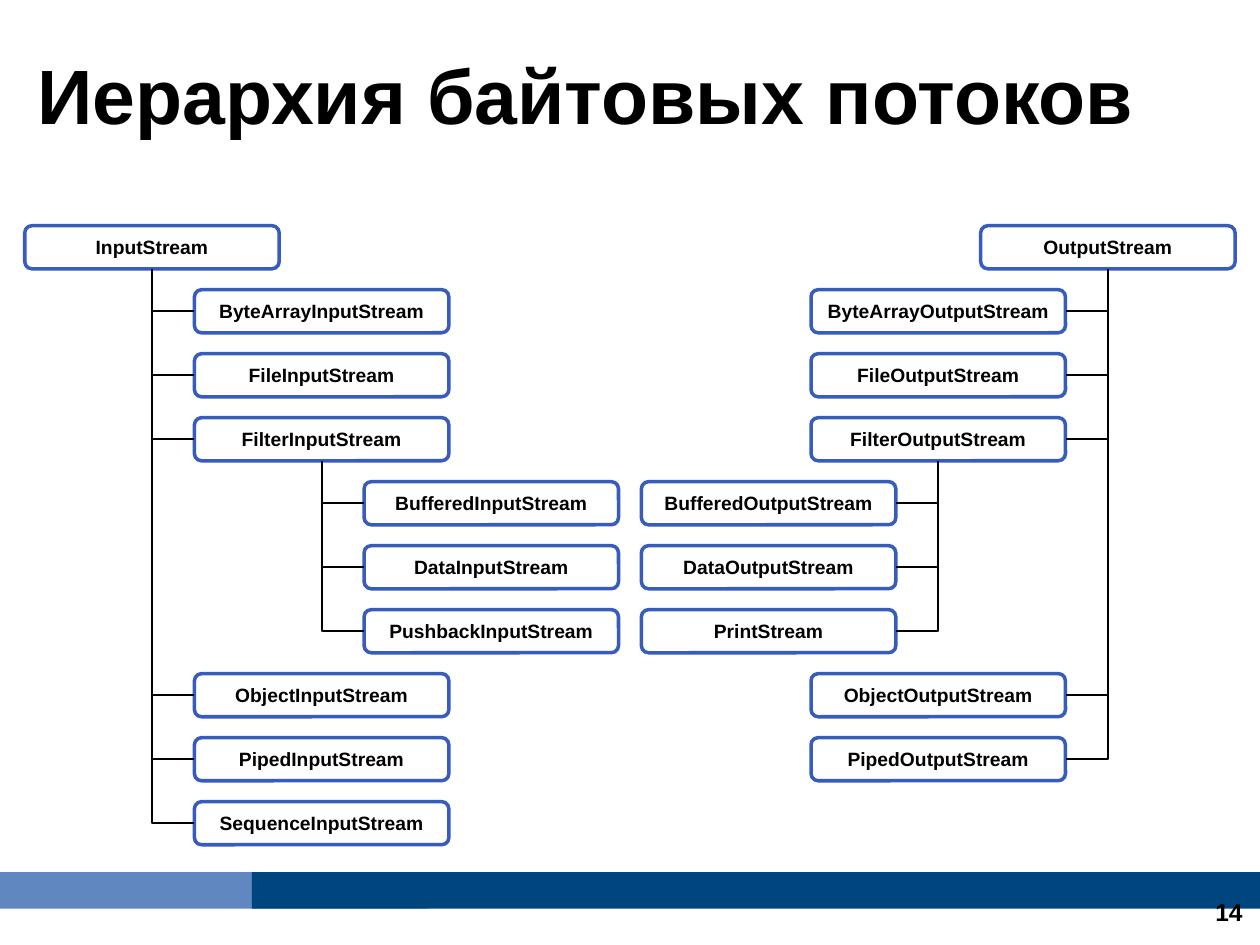
from dataclasses import dataclass

from lxml.etree import SubElement
from pptx import Presentation
from pptx.dml.color import RGBColor
from pptx.enum.shapes import MSO_CONNECTOR as Connector, MSO_SHAPE as Shape
from pptx.enum.text import MSO_ANCHOR as Anchor, PP_ALIGN as Align
from pptx.oxml.ns import qn
from pptx.util import Cm, Pt


@dataclass(frozen=True)
class Theme:
    font: str = "Arial"
    text: RGBColor = RGBColor(0, 0, 0)
    outline: RGBColor = RGBColor(0x38, 0x5B, 0xBE)
    light_band: RGBColor = RGBColor(0x60, 0x87, 0xBF)
    dark_band: RGBColor = RGBColor(0x00, 0x46, 0x7E)
    title_size: int = 44
    number_size: int = 14
    box_size: int = 11


@dataclass(frozen=True)
class Node:
    name: str
    children: tuple["Node", ...] = ()


@dataclass(frozen=True)
class Tree:
    root: Node
    left: float
    indent: float
    child_site: int


THEME = Theme()
SLIDE_WIDTH, SLIDE_HEIGHT = 25.4, 19.05
BOX_WIDTH, BOX_HEIGHT = 5.13, 0.87
MARGIN, TREE_TOP, ROW_STEP, INDENT = 0.5, 4.55, 1.29, 3.42
LEFT_SITE, BOTTOM_SITE, RIGHT_SITE = 1, 2, 3

INPUT = Node("InputStream", (
    Node("ByteArrayInputStream"),
    Node("FileInputStream"),
    Node("FilterInputStream", (
        Node("BufferedInputStream"),
        Node("DataInputStream"),
        Node("PushbackInputStream"),
    )),
    Node("ObjectInputStream"),
    Node("PipedInputStream"),
    Node("SequenceInputStream"),
))
OUTPUT = Node("OutputStream", (
    Node("ByteArrayOutputStream"),
    Node("FileOutputStream"),
    Node("FilterOutputStream", (
        Node("BufferedOutputStream"),
        Node("DataOutputStream"),
        Node("PrintStream"),
    )),
    Node("ObjectOutputStream"),
    Node("PipedOutputStream"),
))
TREES = (
    Tree(INPUT, MARGIN, INDENT, LEFT_SITE),
    Tree(OUTPUT, SLIDE_WIDTH - MARGIN - BOX_WIDTH, -INDENT, RIGHT_SITE),
)


def write(frame, text: str, size: int, align: Align, anchor: Anchor) -> None:
    frame.vertical_anchor = anchor
    paragraph = frame.paragraphs[0]
    paragraph.text = text
    paragraph.alignment = align
    font = paragraph.font
    font.name, font.size, font.bold = THEME.font, Pt(size), True
    font.color.rgb = THEME.text


def add_text(slide, bounds: tuple, text: str, size: int, align: Align, anchor: Anchor) -> None:
    frame = slide.shapes.add_textbox(*map(Cm, bounds)).text_frame
    frame.word_wrap = True
    write(frame, text, size, align, anchor)


def add_band(slide, left: float, width: float, color: RGBColor) -> None:
    band = slide.shapes.add_shape(Shape.RECTANGLE, Cm(left), Cm(17.58), Cm(width), Cm(0.74))
    band.shadow.inherit = False
    band.fill.solid()
    band.fill.fore_color.rgb = color
    band.line.fill.background()


def add_box(shapes, name: str, left: float, top: float):
    box = shapes.add_shape(
        Shape.ROUNDED_RECTANGLE, Cm(left), Cm(top), Cm(BOX_WIDTH), Cm(BOX_HEIGHT))
    box.adjustments[0] = 0.167
    box.shadow.inherit = False
    box.fill.background()
    box.line.color.rgb = THEME.outline
    box.line.width = Pt(2)
    frame = box.text_frame
    frame.word_wrap = False
    frame.margin_left = frame.margin_right = frame.margin_top = frame.margin_bottom = 0
    write(frame, name, THEME.box_size, Align.CENTER, Anchor.MIDDLE)
    return box


def join(shapes, child, parent, child_site: int) -> None:
    connector = shapes.add_connector(
        Connector.ELBOW, parent.left, parent.top, parent.left, parent.top)
    connector.begin_connect(child, child_site)
    connector.end_connect(parent, BOTTOM_SITE)
    connector.line.color.rgb = THEME.text
    connector.line.width = Pt(1)
    properties = connector.element.spPr
    properties.find(qn("a:prstGeom")).set("prst", "bentConnector2")
    SubElement(properties, qn("a:effectLst"))


def draw_node(shapes, tree: Tree, node: Node, level: int = 0, row: int = 0, parent=None) -> int:
    box = add_box(shapes, node.name, tree.left + level * tree.indent, TREE_TOP + row * ROW_STEP)
    if parent is not None:
        join(shapes, box, parent, tree.child_site)
    next_row = row + 1
    for child in node.children:
        next_row = draw_node(shapes, tree, child, level + 1, next_row, box)
    return next_row


presentation = Presentation()
presentation.slide_width, presentation.slide_height = Cm(SLIDE_WIDTH), Cm(SLIDE_HEIGHT)
slide = presentation.slides.add_slide(presentation.slide_layouts[6])

add_band(slide, -0.05, 8.69, THEME.light_band)
add_band(slide, 5.08, 20.32, THEME.dark_band)
add_text(slide, (19.38, 17.53, 5.92, 1.27), "14",
         THEME.number_size, Align.RIGHT, Anchor.BOTTOM)
add_text(slide, (0.5, 0, 24.4, 3.78), "Иерархия байтовых потоков",
         THEME.title_size, Align.LEFT, Anchor.MIDDLE)
for tree in TREES:
    draw_node(slide.shapes.add_group_shape().shapes, tree, tree.root)

presentation.save("out.pptx")
